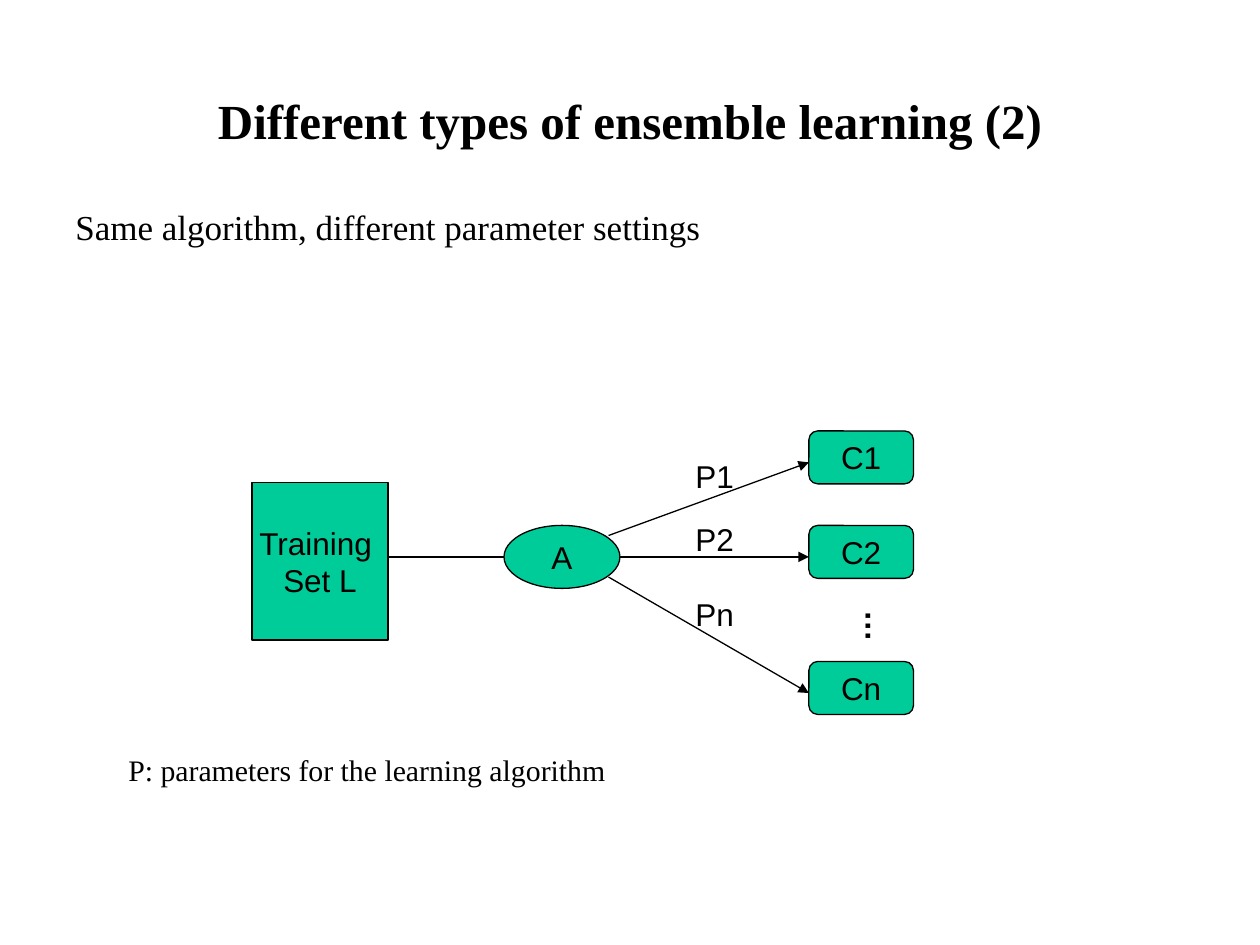
from pptx import Presentation
from pptx.dml.color import RGBColor
from pptx.enum.shapes import MSO_CONNECTOR, MSO_SHAPE
from pptx.enum.text import MSO_ANCHOR, PP_ALIGN
from pptx.util import Inches, Pt
from lxml import etree

STRAIGHT = MSO_CONNECTOR.STRAIGHT
RECTANGLE, OVAL, ROUNDED = MSO_SHAPE.RECTANGLE, MSO_SHAPE.OVAL, MSO_SHAPE.ROUNDED_RECTANGLE
TOP, MIDDLE = MSO_ANCHOR.TOP, MSO_ANCHOR.MIDDLE
LEFT, CENTER = PP_ALIGN.LEFT, PP_ALIGN.CENTER
GREEN = RGBColor(0x00, 0xCC, 0x99)
BLACK = RGBColor(0x00, 0x00, 0x00)
SERIF, SANS = "Times New Roman", "Arial"
DRAWING = "{http://schemas.openxmlformats.org/drawingml/2006/main}"

TITLE = "Different types of ensemble learning (2)"
SUBTITLE = "Same algorithm, different parameter settings"
FOOTNOTE = "P: parameters for the learning algorithm"

TRAINING_SET = ("Training \nSet L", RECTANGLE, (2, 3.83, 1.08, 1.25))
ALGORITHM = ("A", OVAL, (4, 4.17, 0.92, 0.5))

# name, classifier top, parameter, parameter top, arrow start, arrow end height
BRANCHES = [
    ("C1", 3.42, "P1", 3.58, (4.83, 4.25), 3.67),
    ("C2", 4.17, "P2", 4.08, (4.92, 4.42), 4.42),
    ("Cn", 5.25, "Pn", 4.67, (4.83, 4.58), 5.5),
]
CLASSIFIER_LEFT, CLASSIFIER_WIDTH, CLASSIFIER_HEIGHT = 6.42, 0.83, 0.42
PARAMETER_LEFT = 5.42


def write(shape, text, size, font, bold=False, align=LEFT, anchor=TOP, wrap=True):
    frame = shape.text_frame
    frame.text = text
    frame.word_wrap = wrap
    frame.vertical_anchor = anchor
    for para in frame.paragraphs:
        para.alignment = align
        for span in para.runs:
            span.font.size = Pt(size)
            span.font.name = font
            span.font.bold = bold
            span.font.color.rgb = BLACK


def add_text(page, place, text, size, font, **style):
    box = page.shapes.add_textbox(*map(Inches, place))
    write(box, text, size, font, **style)
    return box


def add_node(page, text, kind, place):
    node = page.shapes.add_shape(kind, *map(Inches, place))
    node.shadow.inherit = False
    node.fill.solid()
    node.fill.fore_color.rgb = GREEN
    node.line.color.rgb = BLACK
    node.line.width = Pt(0.75)
    write(node, text, 18, SANS, align=CENTER, anchor=MIDDLE, wrap=False)


def add_line(page, start, end, arrow=True):
    line = page.shapes.add_connector(STRAIGHT, *map(Inches, start + end))
    line.line.color.rgb = BLACK
    line.line.width = Pt(0.75)
    if arrow:
        etree.SubElement(line.line._get_or_add_ln(), DRAWING + "tailEnd", type="triangle")
    etree.SubElement(line._element.spPr, DRAWING + "effectLst")


def main():
    deck = Presentation()
    deck.slide_width, deck.slide_height = Inches(10), Inches(7.5)
    page = deck.slides.add_slide(deck.slide_layouts[6])

    add_text(page, (0.75, 0.33, 8.5, 1.25), TITLE, 28, SERIF,
             bold=True, align=CENTER, anchor=MIDDLE)
    add_text(page, (0.5, 1.58, 9, 1.83), SUBTITLE, 20, SERIF)
    add_text(page, (0.92, 5.92, 8, 0.67), FOOTNOTE, 17, SERIF)

    add_line(page, (3.08, 4.42), (4, 4.42), arrow=False)
    add_node(page, *TRAINING_SET)
    add_node(page, *ALGORITHM)

    for name, top, parameter, parameter_top, start, end_height in BRANCHES:
        add_line(page, start, (CLASSIFIER_LEFT, end_height))
        add_node(page, name, ROUNDED,
                 (CLASSIFIER_LEFT, top, CLASSIFIER_WIDTH, CLASSIFIER_HEIGHT))
        add_text(page, (PARAMETER_LEFT, parameter_top, 0.58, 0.4), parameter, 18, SANS)

    dots = add_text(page, (6.67, 4.75, 0.5, 0.4), "…", 18, SANS, bold=True)
    dots.text_frame._txBody.bodyPr.set("vert", "eaVert")

    deck.save("out.pptx")


if __name__ == "__main__":
    main()
